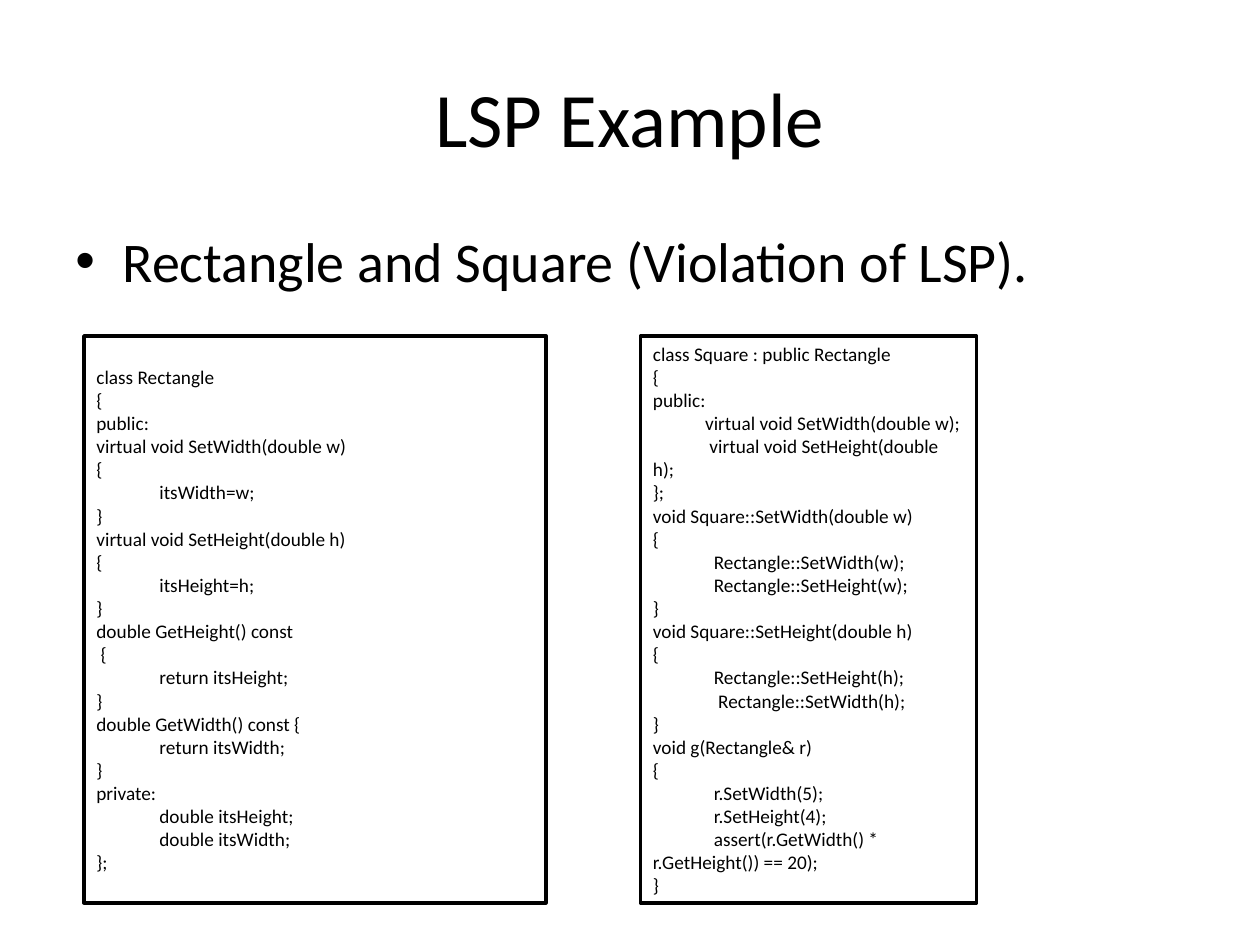
from lxml import etree
from pptx import Presentation
from pptx.dml.color import RGBColor
from pptx.enum import shapes, text
from pptx.oxml.ns import qn
from pptx.util import Pt

BLACK = "000000"
WHITE = "FFFFFF"


def color(hex_string):
    return RGBColor.from_string(hex_string)


def format_text(text_frame, size, alignment):
    for paragraph in text_frame.paragraphs:
        paragraph.alignment = alignment
        for run in paragraph.runs:
            run.font.name = "Calibri"
            run.font.size = Pt(size)
            run.font.color.rgb = color(BLACK)


rectangle_code = """class Rectangle
{
public:
virtual void SetWidth(double w)
{
\titsWidth=w;
}
virtual void SetHeight(double h)
{
\titsHeight=h;
}
double GetHeight() const
 {
\treturn itsHeight;
}
double GetWidth() const {
\treturn itsWidth;
}
private:
\tdouble itsHeight;
\tdouble itsWidth;
};"""

square_code = """class Square : public Rectangle
{
public:
            virtual void SetWidth(double w);
             virtual void SetHeight(double h);
};
void Square::SetWidth(double w)
{
              Rectangle::SetWidth(w);
              Rectangle::SetHeight(w);
}
void Square::SetHeight(double h)
{
              Rectangle::SetHeight(h);
               Rectangle::SetWidth(h);
}
void g(Rectangle& r)
{
              r.SetWidth(5);
              r.SetHeight(4);
              assert(r.GetWidth() * r.GetHeight()) == 20);
}"""

presentation = Presentation()
presentation.slide_width = Pt(720)
presentation.slide_height = Pt(540)
slide = presentation.slides.add_slide(presentation.slide_layouts[5])

title = slide.shapes.title
title.left, title.top, title.width, title.height = Pt(36), Pt(21.6), Pt(648), Pt(90)
title.text_frame.text = "LSP Example"
title.text_frame.vertical_anchor = text.MSO_ANCHOR.MIDDLE
format_text(title.text_frame, 44, text.PP_ALIGN.CENTER)

body = slide.shapes.add_textbox(Pt(36), Pt(126), Pt(648), Pt(356.4))
body.text_frame.word_wrap = True
body.text_frame.text = "Rectangle and Square (Violation of LSP)."
properties = body.text_frame.paragraphs[0]._p.get_or_add_pPr()
properties.set("marL", str(Pt(27)))
properties.set("indent", str(Pt(-27)))
etree.SubElement(properties, qn("a:buFont"), typeface="Arial")
etree.SubElement(properties, qn("a:buChar"), char="•")
format_text(body.text_frame, 32, text.PP_ALIGN.LEFT)

for left, width, code in [(48, 264, rectangle_code), (366, 192, square_code)]:
    code_box = slide.shapes.add_shape(
        shapes.MSO_SHAPE.RECTANGLE, Pt(left), Pt(192), Pt(width), Pt(324)
    )
    code_box.shadow.inherit = False
    code_box.fill.solid()
    code_box.fill.fore_color.rgb = color(WHITE)
    code_box.line.color.rgb = color(BLACK)
    code_box.line.width = Pt(2)
    code_box.text_frame.word_wrap = True
    code_box.text_frame.vertical_anchor = text.MSO_ANCHOR.MIDDLE
    code_box.text_frame.text = code
    format_text(code_box.text_frame, 11, text.PP_ALIGN.LEFT)

presentation.save("out.pptx")
